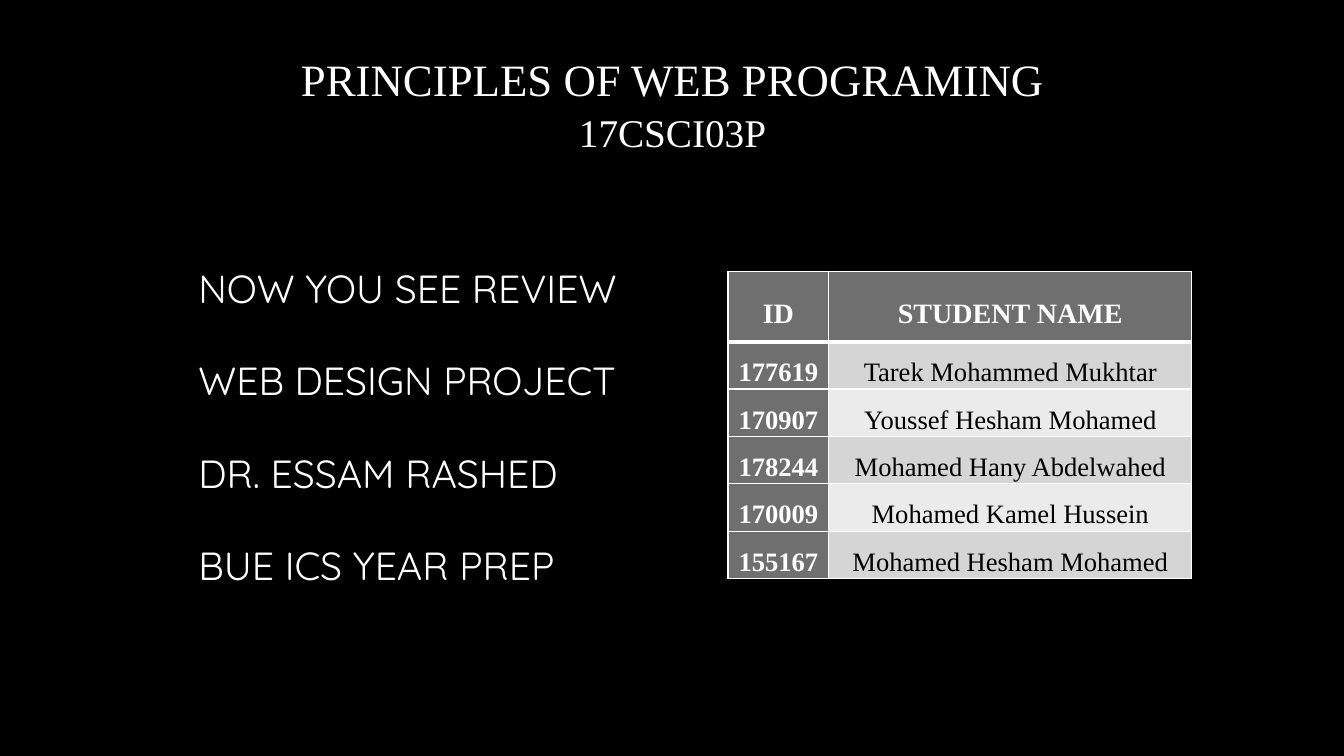
from lxml import etree
from pptx import Presentation
from pptx.dml.color import RGBColor
from pptx.enum import text
from pptx.oxml import ns
from pptx.util import Inches, Pt

# Content
TITLE = [("PRINCIPLES OF WEB PROGRAMING", 32), ("17CSCI03P", 28)]
DETAILS = ["NOW YOU SEE REVIEW", "WEB DESIGN PROJECT",
           "DR. ESSAM RASHED", "BUE ICS YEAR PREP"]
STUDENTS = [
    ("ID", "STUDENT NAME"),
    ("177619", "Tarek Mohammed Mukhtar"),
    ("170907", "Youssef Hesham Mohamed"),
    ("178244", "Mohamed Hany Abdelwahed"),
    ("170009", "Mohamed Kamel Hussein"),
    ("155167", "Mohamed Hesham Mohamed"),
]
COL_WIDTHS = (1, 3.6)
HEADER_HEIGHT, ROW_HEIGHT = 0.7, 0.47
BLACK, WHITE, GREY = "000000", "FFFFFF", "6F6F6F"
BANDS = ("EBEBEB", "D5D5D5")
SERIF, SANS = "Times New Roman", "Quicksand"


def paint(fill, color):
    fill.solid()
    fill.fore_color.rgb = RGBColor.from_string(color)


def add_run(p, words, size, font, color=WHITE, bold=False):
    r = p.add_run()
    r.text = words
    r.font.size, r.font.name, r.font.bold = Pt(size), font, bold
    paint(r.font.fill, color)


def add_borders(cell, bottom):
    tc_pr = cell._tc.get_or_add_tcPr()
    for side, width in (("L", 1), ("R", 1), ("T", 1), ("B", bottom)):
        ln = etree.SubElement(tc_pr, ns.qn(f"a:ln{side}"), w=str(Pt(width)))
        solid = etree.SubElement(ln, ns.qn("a:solidFill"))
        etree.SubElement(solid, ns.qn("a:srgbClr"), val=WHITE)


prs = Presentation()
prs.slide_width, prs.slide_height = Inches(13.33), Inches(7.5)
s = prs.slides.add_slide(prs.slide_layouts[5])
paint(s.background.fill, BLACK)

# Title
title = s.shapes.title
title.left, title.top = Inches(0.92), Inches(0.4)
title.width, title.height = Inches(11.5), Inches(6.94)
tf = title.text_frame
tf.word_wrap = True
tf.auto_size = text.MSO_AUTO_SIZE.NONE
tf.vertical_anchor = text.MSO_ANCHOR.TOP
tf.margin_top = Inches(0.09)
p = tf.paragraphs[0]
p.alignment = text.PP_ALIGN.CENTER
p.line_spacing = 1.05
for i, (words, size) in enumerate(TITLE):
    if i:
        p.add_line_break()
    add_run(p, words, size, SERIF)

# Student table
table = s.shapes.add_table(
    len(STUDENTS), len(COL_WIDTHS), Inches(7.22), Inches(2.69),
    Inches(sum(COL_WIDTHS)),
    Inches(HEADER_HEIGHT + ROW_HEIGHT * (len(STUDENTS) - 1))).table
for col, width in zip(table.columns, COL_WIDTHS):
    col.width = Inches(width)
for i, student in enumerate(STUDENTS):
    header = i == 0
    table.rows[i].height = Inches(HEADER_HEIGHT if header else ROW_HEIGHT)
    for j, words in enumerate(student):
        dark = header or j == 0
        cell = table.cell(i, j)
        add_borders(cell, 3 if header else 1)
        paint(cell.fill, GREY if dark else BANDS[i % 2])
        cell.vertical_anchor = text.MSO_ANCHOR.MIDDLE
        cell.margin_left = cell.margin_right = Inches(0.07)
        cell.margin_top = cell.margin_bottom = 0
        p = cell.text_frame.paragraphs[0]
        p.alignment = text.PP_ALIGN.CENTER
        p.line_spacing = 1.5
        if header:
            p.space_before = Pt(12)
        add_run(p, words, 20 if header else 19, SERIF,
                WHITE if dark else BLACK, dark)

# Project details
box = s.shapes.add_textbox(Inches(1.87), Inches(2.69), Inches(6.55), Inches(3.08))
tf = box.text_frame
tf.word_wrap = True
tf.vertical_anchor = text.MSO_ANCHOR.MIDDLE
for i, words in enumerate(DETAILS):
    p = tf.add_paragraph() if i else tf.paragraphs[0]
    p.space_before = Pt(32.3 if i else 0)
    add_run(p, words, 28, SANS)

prs.save("out.pptx")
